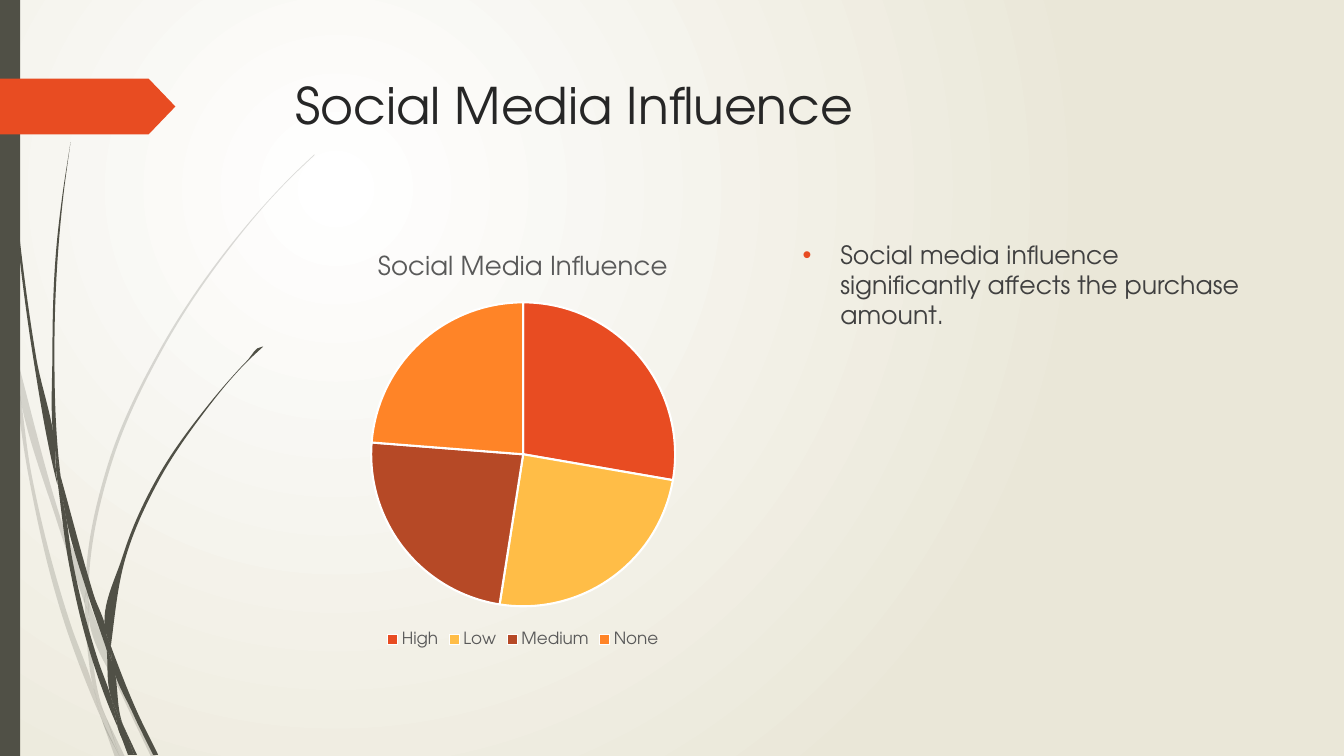
from math import hypot
from lxml import etree
from pptx import Presentation
from pptx import util as u
from pptx.chart import data
from pptx.dml.color import RGBColor
from pptx.enum import chart as ch, shapes, text
from pptx.oxml import ns

Pt = u.Pt
FONT = "TeX Gyre Adventor"
WHITE = RGBColor(0xFF, 0xFF, 0xFF)
SAND = RGBColor(0xEA, 0xE7, 0xD8)
OLIVE = RGBColor(0x50, 0x50, 0x46)
RED = RGBColor(0xE8, 0x4C, 0x22)
GOLD = RGBColor(0xFF, 0xBD, 0x47)
RUST = RGBColor(0xB6, 0x49, 0x26)
AMBER = RGBColor(0xFF, 0x84, 0x27)
INK = RGBColor(0x26, 0x26, 0x26)
SLATE = RGBColor(0x40, 0x40, 0x40)
GREY = RGBColor(0x59, 0x59, 0x59)

GRID = Pt(0.72)
FINE = 20
PALE = [
    [(11, 350), (9, 322), (0, 282), (0, 299), (10, 344)],
    [(58, 522), (84, 599), (85, 586), (62, 520), (14, 345), (17, 376)],
    [(92, 607), (88, 596), (88, 610), (123, 694), (150, 751), (155, 751),
     (127, 692)],
    [(119, 751), (124, 751), (105, 711)],
    [(93, 683), (70, 619), (31, 469), (17, 376), (11, 350), (28, 470),
     (65, 621), (92, 693), (101, 714), (99, 707)],
    [(84, 599), (87, 646), (93, 683), (96, 692), (105, 711), (103, 706),
     (91, 646), (88, 610), (88, 608)],
    [(88, 584), (110, 462), (160, 349), (229, 245), (268, 198), (290, 175),
     (312, 154), (312, 153), (289, 175), (268, 197), (228, 244), (158, 348),
     (107, 461), (85, 584), (85, 586), (88, 596)],
    [(101, 714), (114, 751), (119, 751)],
    [(88, 608), (88, 610), (88, 596), (85, 586), (84, 599)],
    [(96, 692), (93, 683), (99, 707), (101, 714), (119, 751), (105, 711)],
]
DARK = [
    [(7, 110), (17, 233), (33, 355), (56, 477), (57, 481), (55, 457),
     (55, 453), (36, 355), (19, 232), (8, 109), (5, 48), (4, 0), (3, 0),
     (4, 48)],
    [(88, 592), (106, 645), (106, 633), (106, 631), (93, 590), (60, 472),
     (64, 505)],
    [(113, 649), (110, 641), (111, 656), (132, 708), (152, 749), (157, 749),
     (136, 706)],
    [(110, 691), (98, 657), (72, 556), (64, 505), (57, 477), (68, 557),
     (93, 659), (111, 708), (117, 722), (116, 717)],
    [(60, 472), (58, 453), (54, 349), (58, 245), (63, 193), (70, 141),
     (62, 193), (56, 245), (52, 349), (55, 449)],
    [(133, 749), (136, 749), (122, 719)],
    [(57, 477), (64, 505), (60, 472), (55, 449), (55, 453)],
    [(111, 633), (125, 552), (158, 476), (205, 406), (231, 374), (245, 359),
     (261, 344), (260, 344), (245, 358), (231, 373), (204, 405), (156, 474),
     (122, 551), (106, 631), (110, 641)],
    [(117, 722), (127, 749), (131, 749)],
    [(106, 645), (110, 691), (116, 706), (122, 719), (121, 716), (111, 656),
     (109, 651)],
    [(106, 645), (109, 651), (111, 656), (110, 641), (106, 631), (106, 633)],
    [(116, 706), (110, 691), (116, 717), (117, 722), (130, 749), (133, 749),
     (122, 719)],
]


def slope(a, b, c):
    """Return the unit direction at b, or None where the outline turns."""
    ux, uy, vx, vy = b[0] - a[0], b[1] - a[1], c[0] - b[0], c[1] - b[1]
    m, n = hypot(ux, uy), hypot(vx, vy)
    if ux * vx + uy * vy < 0.7 * m * n:
        return None
    tx, ty = ux / m * n + vx / n * m, uy / m * n + vy / n * m
    size = hypot(tx, ty)
    return tx / size, ty / size


def bend(path, nodes):
    """Turn the straight sides of a closed path into smooth curves."""
    ring = [nodes[-1]] + nodes + nodes[:2]
    dirs = [slope(*trio) for trio in zip(ring, ring[1:], ring[2:])]
    dirs.append(dirs[0])
    left, top = (min(axis) for axis in zip(*nodes))
    sides = zip(ring[1:], ring[2:], dirs, dirs[1:])
    for line, (a, b, s, t) in zip(path.findall(ns.qn("a:lnTo")), sides):
        dx, dy = b[0] - a[0], b[1] - a[1]
        third = hypot(dx, dy) / 3
        chord = dx / third / 3, dy / third / 3
        s, t = s or chord, t or chord
        stops = [(a[0] + s[0] * third, a[1] + s[1] * third),
                 (b[0] - t[0] * third, b[1] - t[1] * third), b]
        curve = etree.Element(ns.qn("a:cubicBezTo"))
        for x, y in stops:
            etree.SubElement(curve, ns.qn("a:pt"),
                             x=str(round(x - left)), y=str(round(y - top)))
        path.replace(line, curve)


def paint(shape, hue, alpha=None):
    """Give a shape a plain fill with no line or shadow."""
    shape.shadow.inherit = False
    shape.line.fill.background()
    shape.fill.solid()
    shape.fill.fore_color.rgb = hue
    if alpha:
        clr = shape._element.spPr.find(".//" + ns.qn("a:srgbClr"))
        etree.SubElement(clr, ns.qn("a:alpha"), val=str(alpha * 1000))


def blade(slide, nodes, alpha=None):
    """Draw one curved piece of grass."""
    nodes = [(x * FINE, y * FINE) for x, y in nodes]
    form = slide.shapes.build_freeform(*nodes[0], scale=GRID / FINE)
    form.add_line_segments(nodes[1:] + nodes[:1], close=True)
    shape = form.convert_to_shape()
    bend(shape._element.find(".//" + ns.qn("a:path")), nodes)
    paint(shape, OLIVE, alpha)


def block(slide, kind, box, hue):
    """Add a filled preset shape."""
    shape = slide.shapes.add_shape(kind, *map(Pt, box))
    paint(shape, hue)
    return shape


def style(font, size, hue):
    """Set the face, size and colour of a font."""
    font.name, font.size = FONT, Pt(size)
    font.color.rgb = hue


def write(slide, box, words, size, hue):
    """Add a wrapped text box and return its paragraph."""
    frame = slide.shapes.add_textbox(*map(Pt, box)).text_frame
    frame.word_wrap = True
    frame.vertical_anchor = text.MSO_ANCHOR.TOP
    para = frame.paragraphs[0]
    run = para.add_run()
    run.text = words
    style(run.font, size, hue)
    return para


def bullet(para, hue):
    """Give a paragraph a coloured dot and a hanging indent."""
    para.space_before = Pt(10)
    prop = para._p.get_or_add_pPr()
    prop.set("marL", str(Pt(27)))
    prop.set("indent", str(Pt(-27)))
    tint = etree.SubElement(prop, ns.qn("a:buClr"))
    etree.SubElement(tint, ns.qn("a:srgbClr"), val=str(hue))
    etree.SubElement(prop, ns.qn("a:buFont"), typeface="Arial")
    etree.SubElement(prop, ns.qn("a:buChar"), char="•")


def pie(slide, box, name, parts):
    """Add a titled pie chart with a legend below."""
    info = data.CategoryChartData()
    info.categories = [part[0] for part in parts]
    info.add_series(name, [part[1] for part in parts])
    kind = ch.XL_CHART_TYPE.PIE
    chart = slide.shapes.add_chart(kind, *map(Pt, box), info).chart
    style(chart.font, 10, GREY)
    chart.has_title = True
    run = chart.chart_title.text_frame.paragraphs[0].add_run()
    run.text = name
    style(run.font, 18.6, GREY)
    run.font.bold = False
    chart.has_legend = True
    chart.legend.position = ch.XL_LEGEND_POSITION.BOTTOM
    chart.legend.include_in_layout = False
    style(chart.legend.font, 12, GREY)
    plot = chart.plots[0]
    plot.vary_by_categories = True
    for i, part in enumerate(parts):
        look = plot.series[0].points[i].format
        look.fill.solid()
        look.fill.fore_color.rgb = part[2]
        look.line.color.rgb = WHITE
        look.line.width = Pt(1.5)


def glow(slide):
    """Fill the background with a round gradient."""
    fill = slide.background.fill
    fill.gradient()
    for stop, hue in zip(fill.gradient_stops, (WHITE, SAND)):
        stop.color.rgb = hue
    grad = slide._element.find(".//" + ns.qn("a:gradFill"))
    grad.remove(grad.find(ns.qn("a:lin")))
    ring = etree.SubElement(grad, ns.qn("a:path"), path="circle")
    etree.SubElement(ring, ns.qn("a:fillToRect"),
                     l="50000", t="50000", r="100000", b="100000")


def main():
    """Build the slide and save it."""
    deck = Presentation()
    deck.slide_width, deck.slide_height = Pt(960), Pt(540)
    slide = deck.slides.add_slide(deck.slide_layouts[6])
    glow(slide)
    for tuft, alpha in ((PALE, 20), (DARK, None)):
        for nodes in tuft:
            blade(slide, nodes, alpha)
    block(slide, shapes.MSO_SHAPE.RECTANGLE, (0, 0, 14.4, 540), OLIVE)
    tag = block(slide, shapes.MSO_SHAPE.PENTAGON, (0, 56.2, 125.3, 39.8), RED)
    tag.adjustments[0] = 0.48
    name = "Social Media Influence"
    write(slide, (204.1, 49.5, 702, 100.8), name, 36, INK)
    pie(slide, (203.8, 167.8, 339.8, 297.4), name,
        [("High", 28, RED), ("Low", 25, GOLD),
         ("Medium", 24, RUST), ("None", 24, AMBER)])
    note = "Social media influence significantly affects the purchase amount."
    bullet(write(slide, (566.2, 167.4, 339.8, 297.4), note, 18, SLATE), RED)
    deck.save("out.pptx")


if __name__ == "__main__":
    main()
